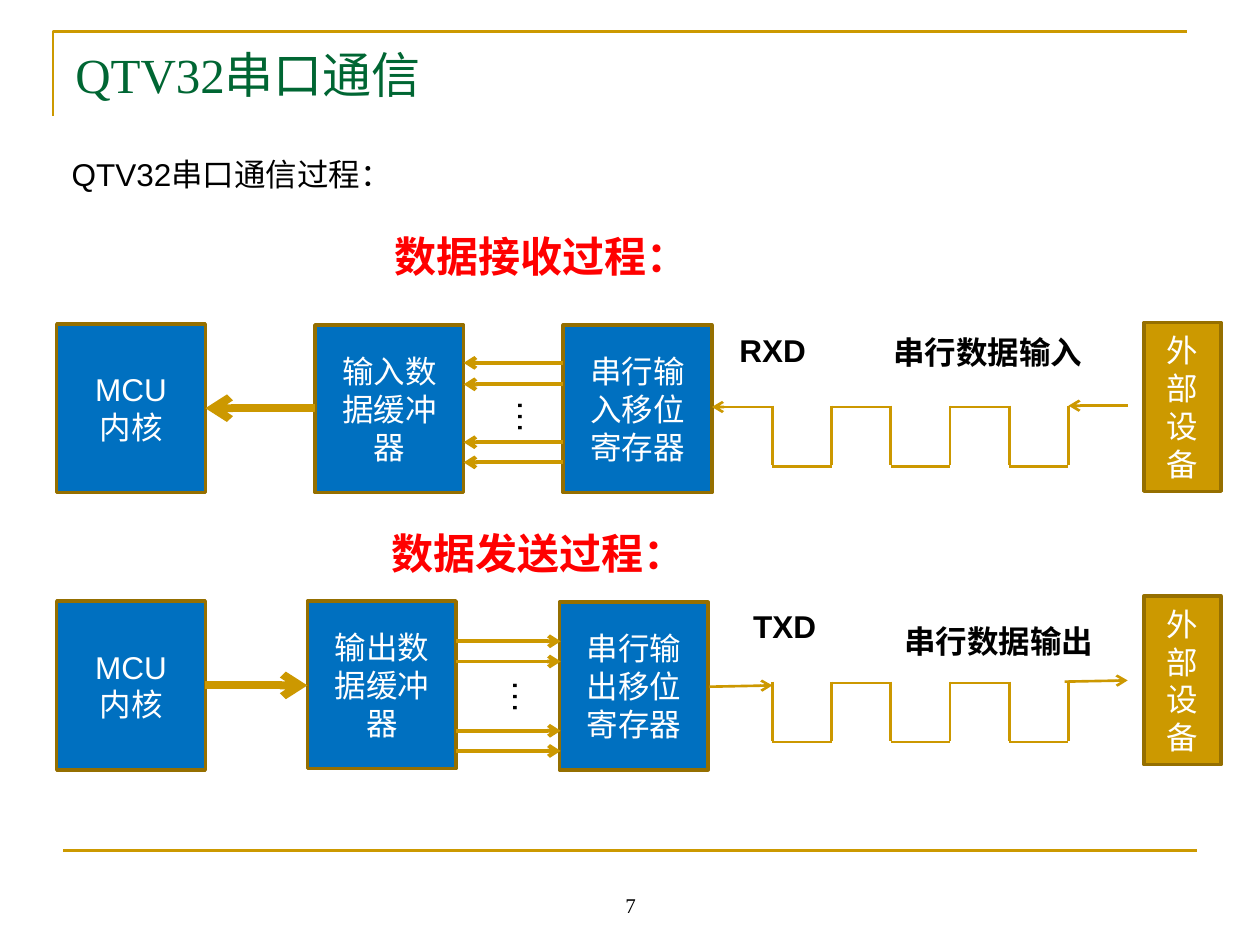
import pptx
import pptx.util
import pptx.dml.color
import pptx.enum.shapes
import pptx.enum.text
import pptx.oxml

PX = 9144
theme = {
    "gold": "CC9900", "wire": "CC9800", "edge": "956F00", "blue": "0070C0",
    "green": "006633", "red": "FF0000", "black": "000000", "white": "FFFFFF",
    "sans": "Arial", "serif": "Times New Roman",
    "title": 28, "head": 24, "dots": 20, "body": 18, "page": 12,
}
rgb = pptx.dml.color.RGBColor.from_string
align = pptx.enum.text.PP_ALIGN
anchor = pptx.enum.text.MSO_ANCHOR
rect = pptx.enum.shapes.MSO_SHAPE.RECTANGLE
straight = pptx.enum.shapes.MSO_CONNECTOR.STRAIGHT

deck = pptx.Presentation()
deck.slide_width, deck.slide_height = 1000 * PX, 750 * PX
slide = deck.slides.add_slide(deck.slide_layouts[6])


def write(area, text, size, color, bold=False, font="sans", side=align.LEFT):
    frame = area.text_frame
    frame.text = text
    for para in frame.paragraphs:
        para.alignment = side
        for run in para.runs:
            run.font.size = pptx.util.Pt(theme[size])
            run.font.name = theme[font]
            run.font.bold = bold
            run.font.color.rgb = rgb(theme[color])


def draw(x1, y1, x2, y2, width=1.5, arrow=False, color="wire"):
    wire = slide.shapes.add_connector(straight, x1 * PX, y1 * PX, x2 * PX, y2 * PX)
    wire.line.width = pptx.util.Pt(width)
    wire.line.color.rgb = rgb(theme[color])
    space = pptx.oxml.ns.nsdecls("a")
    if arrow:
        wire.line._get_or_add_ln().append(
            pptx.oxml.parse_xml(f'<a:tailEnd {space} type="arrow"/>'))
    wire.element.spPr.append(pptx.oxml.parse_xml(f"<a:effectLst {space}/>"))


pen = slide.shapes.build_freeform(42, 92, PX)
pen.add_line_segments([(42, 25), (942, 25)], close=False)
frame = pen.convert_to_shape()
frame.shadow.inherit = False
frame.fill.background()
frame.line.color.rgb = rgb(theme["gold"])
frame.line.width = pptx.util.Pt(1.5)
draw(50, 675, 950, 675, color="gold")

title = slide.shapes.add_textbox(50 * PX, 30 * PX, 900 * PX, 61 * PX)
title.text_frame.word_wrap = True
write(title, "QTV32串口通信", "title", "green", font="serif")
page = slide.shapes.add_textbox(342 * PX, 683 * PX, 317 * PX, 50 * PX)
page.text_frame.word_wrap = True
page.text_frame.vertical_anchor = anchor.BOTTOM
write(page, "7", "page", "black", font="serif", side=align.CENTER)

labels = [
    (47, 118, 281, 40, "QTV32串口通信过程：", "body", "black", False),
    (303, 178, 253, 50, "数据接收过程：", "head", "red", True),
    (301, 414, 253, 50, "数据发送过程：", "head", "red", True),
    (577, 258, 73, 40, "RXD", "body", "black", True),
    (588, 477, 70, 40, "TXD", "body", "black", True),
    (699, 259, 170, 40, "串行数据输入", "body", "black", True),
    (708, 489, 170, 40, "串行数据输出", "body", "black", True),
    (391, 307, 53, 38, "…", "dots", "black", False),
    (387, 529, 53, 38, "…", "dots", "black", False),
]
for x, y, w, h, text, size, color, bold in labels:
    label = slide.shapes.add_textbox(x * PX, y * PX, w * PX, h * PX)
    label.text_frame.word_wrap = False
    label.text_frame.auto_size = pptx.enum.text.MSO_AUTO_SIZE.SHAPE_TO_FIT_TEXT
    write(label, text, size, color, bold)
    if size == "dots":
        body = label.text_frame
        body.margin_left = body.margin_right = 5 * PX
        body.margin_top = body.margin_bottom = 10 * PX
        label.element.xpath(".//a:bodyPr")[0].set("vert", "eaVert")

blocks = [
    (45, 257, 118, 134, "MCU\n内核", "blue"),
    (250, 258, 118, 133, "输入数据缓冲器", "blue"),
    (447, 258, 118, 133, "串行输入移位寄存器", "blue"),
    (908, 256, 61, 134, "外部设备", "gold"),
    (45, 477, 118, 134, "MCU\n内核", "blue"),
    (244, 477, 118, 133, "输出数据缓冲器", "blue"),
    (444, 478, 118, 133, "串行输出移位寄存器", "blue"),
    (908, 473, 61, 134, "外部设备", "gold"),
]
for x, y, w, h, text, fill in blocks:
    block = slide.shapes.add_shape(rect, x * PX, y * PX, w * PX, h * PX)
    block.shadow.inherit = False
    block.fill.solid()
    block.fill.fore_color.rgb = rgb(theme[fill])
    block.line.color.rgb = rgb(theme["edge"])
    block.line.width = pptx.util.Pt(2)
    block.text_frame.word_wrap = True
    block.text_frame.vertical_anchor = anchor.MIDDLE
    write(block, text, "body", "white", side=align.CENTER)

step = 47
for high in (323, 542):
    low = high + 47
    for i in range(6):
        x = 613 + i * step
        draw(x, high - 1, x, low - 1)
        if i < 5:
            y = high if i % 2 else low
            draw(x, y, x + step, y)

for y in (288, 305, 351, 367):
    draw(447, y, 368, y, 2.25, True)
for y in (509, 525, 580, 596):
    draw(362, y, 445, y, 2.25, True)
draw(250, 324, 163, 324, 4.5, True)
draw(163, 544, 244, 544, 4.5, True)
draw(612, 323, 565, 323, arrow=True)
draw(895, 322, 848, 322, arrow=True)
draw(563, 545, 613, 544, arrow=True)
draw(845, 541, 895, 540, arrow=True)

deck.save("out.pptx")
